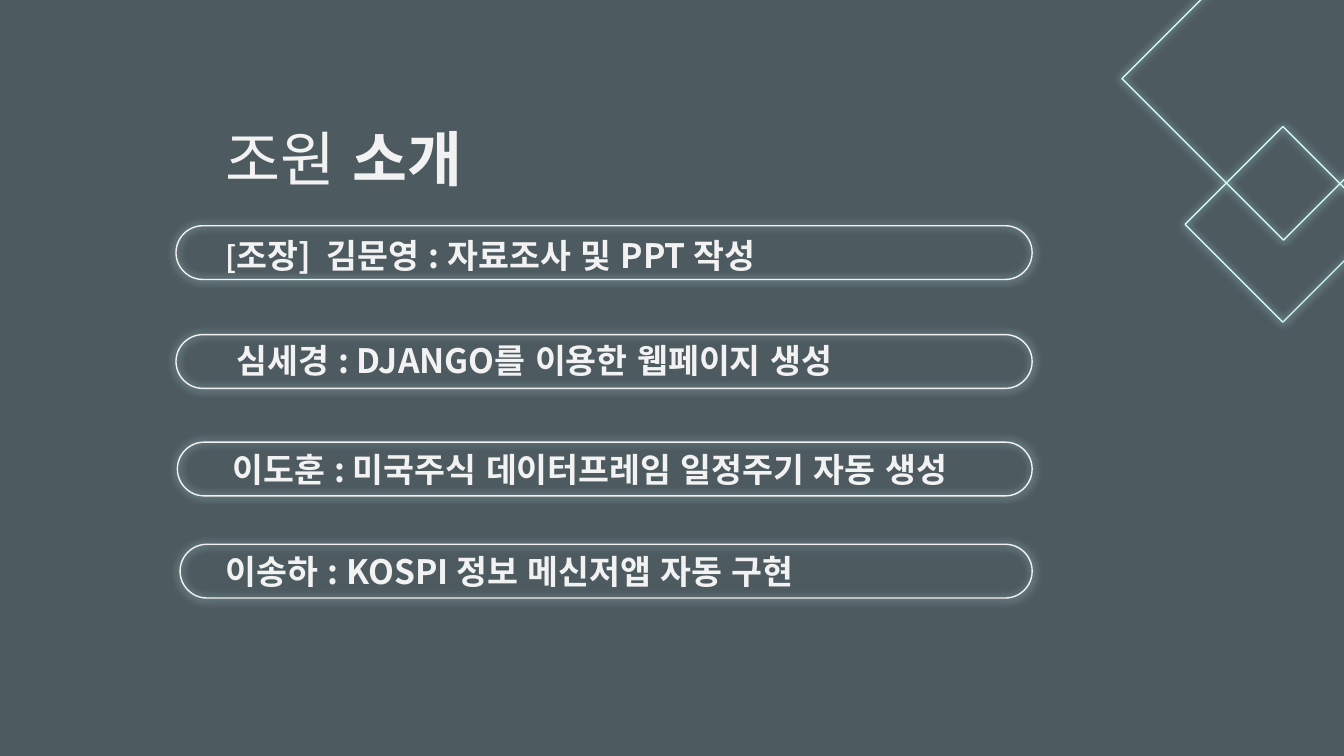
from lxml import etree
from pptx import Presentation
from pptx.dml.color import RGBColor
from pptx.enum.lang import MSO_LANGUAGE_ID
from pptx.enum.shapes import MSO_SHAPE
from pptx.enum.text import MSO_ANCHOR, PP_ALIGN
from pptx.oxml import parse_xml
from pptx.oxml.ns import nsdecls, qn
from pptx.util import Pt

PX = 4572
FONT = "Noto Sans CJK KR"
SLATE = RGBColor(0x4D, 0x5B, 0x61)
MINT = RGBColor(0xCD, 0xF8, 0xF4)
PALE = RGBColor(0xF2, 0xF2, 0xF2)
RECTANGLE = MSO_SHAPE.RECTANGLE
PILL = MSO_SHAPE.ROUNDED_RECTANGLE
LEFT = PP_ALIGN.LEFT
TOP = MSO_ANCHOR.TOP
KOREAN = MSO_LANGUAGE_ID.KOREAN

prs = Presentation()
prs.slide_width, prs.slide_height = 2000 * PX, 1125 * PX
slide = prs.slides.add_slide(prs.slide_layouts[5])
slide.background.fill.solid()
slide.background.fill.fore_color.rgb = SLATE


def add_glowing_outline(kind, left, top, width, height, color):
    outline = slide.shapes.add_shape(kind, left * PX, top * PX, width * PX, height * PX)
    outline.fill.background()
    outline.line.color.rgb = color
    outline.line.width = Pt(0.75)
    outline._element.spPr.append(parse_xml(
        f'<a:effectLst {nsdecls("a")}><a:outerShdw blurRad="{Pt(4.5)}" dist="0" dir="0" '
        f'algn="ctr" rotWithShape="0"><a:srgbClr val="{MINT}"/></a:outerShdw></a:effectLst>'))
    return outline


def style_run(run, size, bold):
    run.font.size = Pt(size)
    run.font.bold = bold
    run.font.name = FONT
    run.font.language_id = KOREAN
    run.font.color.rgb = PALE
    etree.SubElement(run.font._element, qn("a:ea")).set("typeface", FONT)


for left, top, side in [(1740, -53, 340), (1806, 231, 206)]:
    diamond = add_glowing_outline(RECTANGLE, left, top, side, side, MINT)
    diamond.rotation = 45

title = slide.shapes.title
title.left, title.top, title.width, title.height = 316 * PX, 108 * PX, 460 * PX, 126 * PX
heading = title.text_frame
heading.vertical_anchor = TOP
heading.word_wrap = True
heading.margin_left = heading.margin_right = 20 * PX
heading.margin_top = heading.margin_bottom = 20 * PX
heading_line = heading.paragraphs[0]
heading_line.alignment = LEFT
heading_line.line_spacing = 1.5
for words, bold in [("조원", False), (" 소개", True)]:
    run = heading_line.add_run()
    run.text = words
    style_run(run, 32, bold)

PILL_RIGHT = 1536
members = [
    (262, 336, 316, 340, 1018, [("[", 16), ("조장]  김문영 : 자료조사 및 PPT 작성", 18)]),
    (262, 498, 332, 496, 966, [("심세경 : DJANGO를 이용한 웹페이지 생성", 18)]),
    (264, 658, 326, 658, 1182, [("이도훈 : 미국주식 데이터프레임 일정주기 자동 생성", 18)]),
    (268, 810, 316, 810, 1230, [("이송하 : KOSPI 정보 메신저앱 자동 구현", 18)]),
]
for pill_left, pill_top, left, top, width, pieces in members:
    pill = add_glowing_outline(PILL, pill_left, pill_top, PILL_RIGHT - pill_left, 80, PALE)
    pill.adjustments[0] = 0.5
    role = slide.shapes.add_textbox(left * PX, top * PX, width * PX, 80 * PX)
    role.text_frame.word_wrap = True
    for words, size in pieces:
        run = role.text_frame.paragraphs[0].add_run()
        run.text = words
        style_run(run, size, True)

prs.save("out.pptx")
